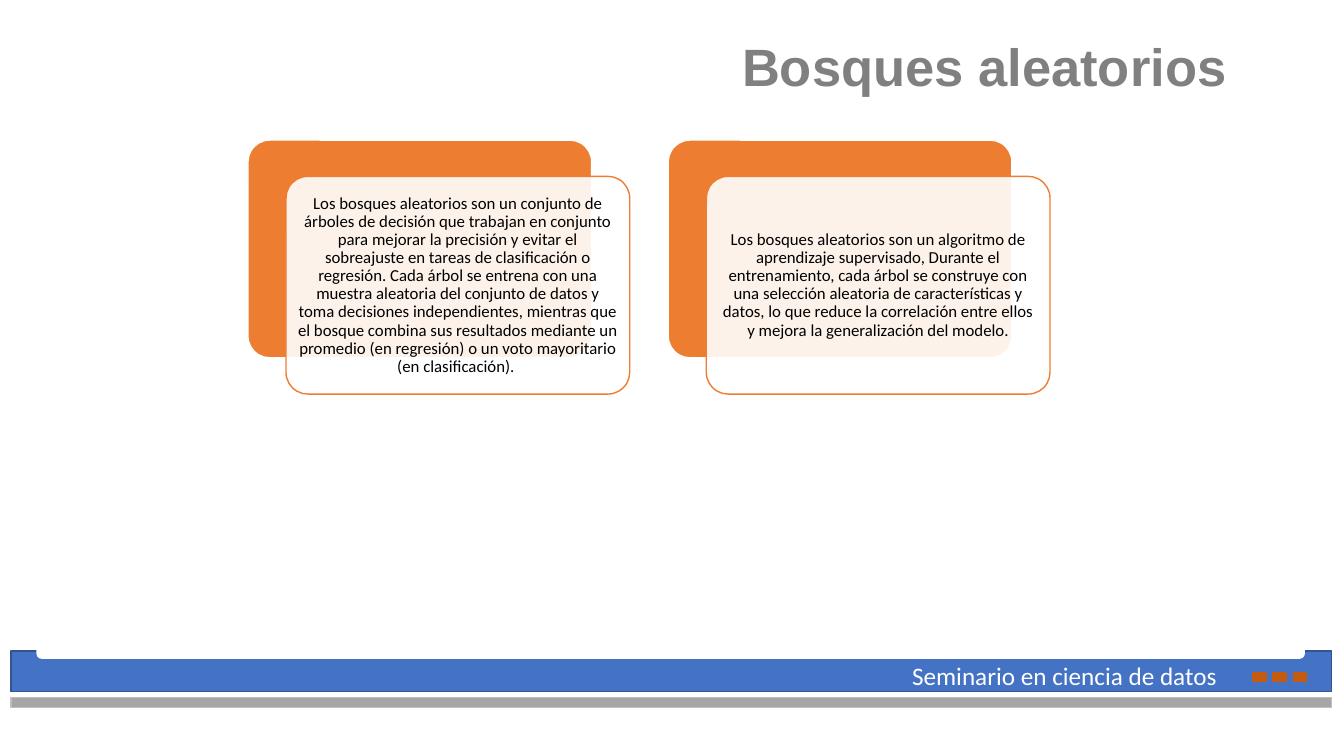
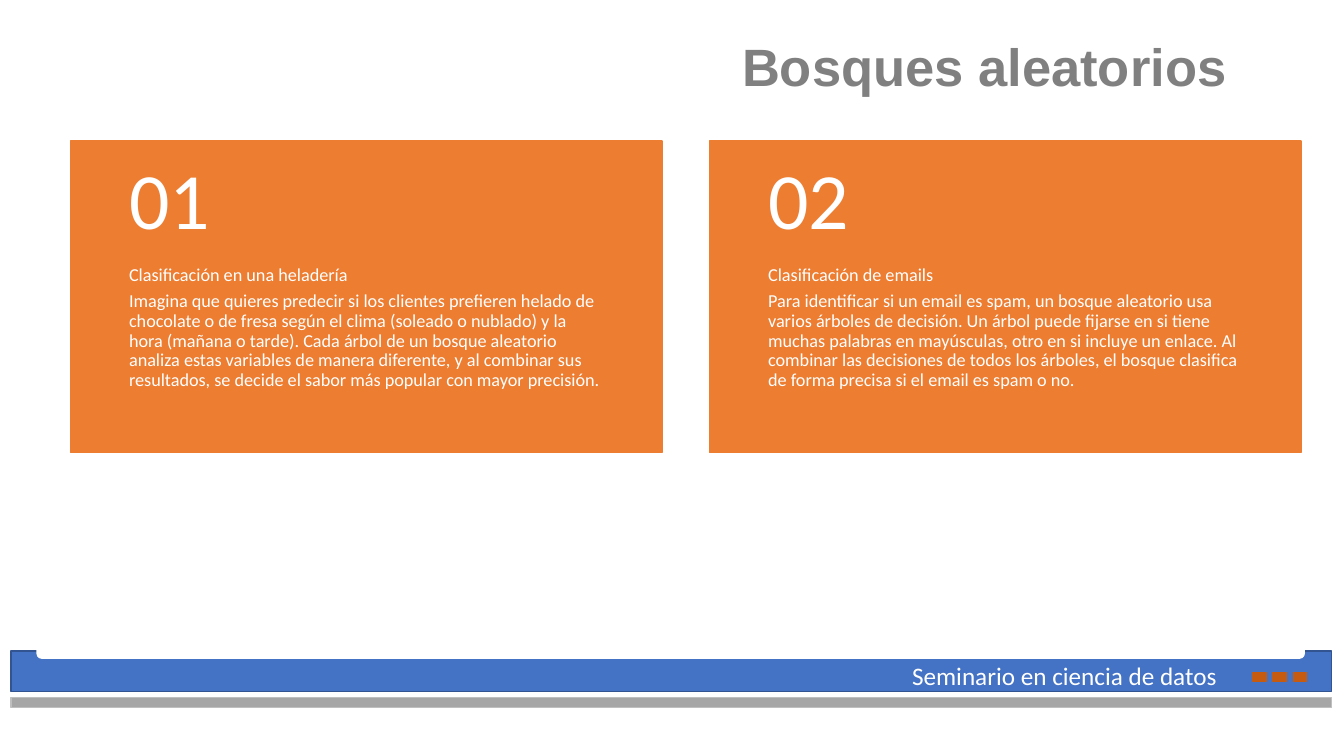
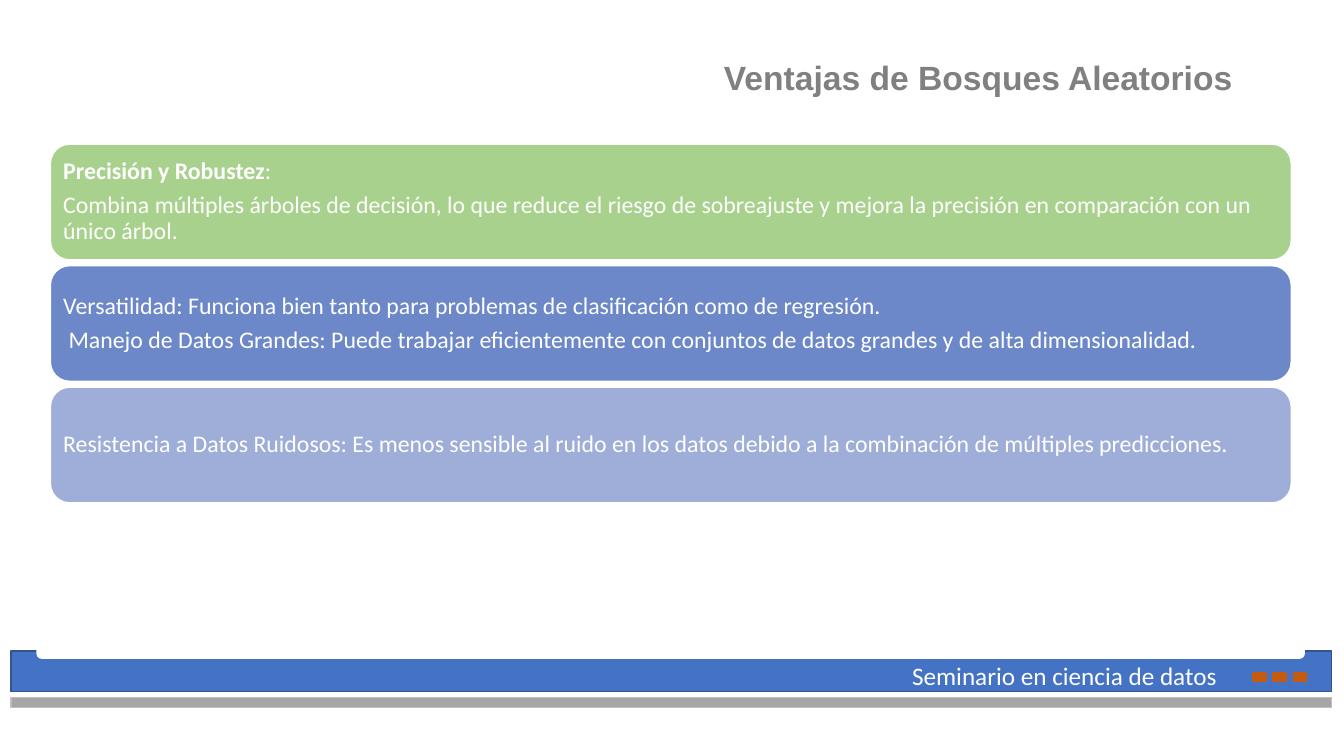
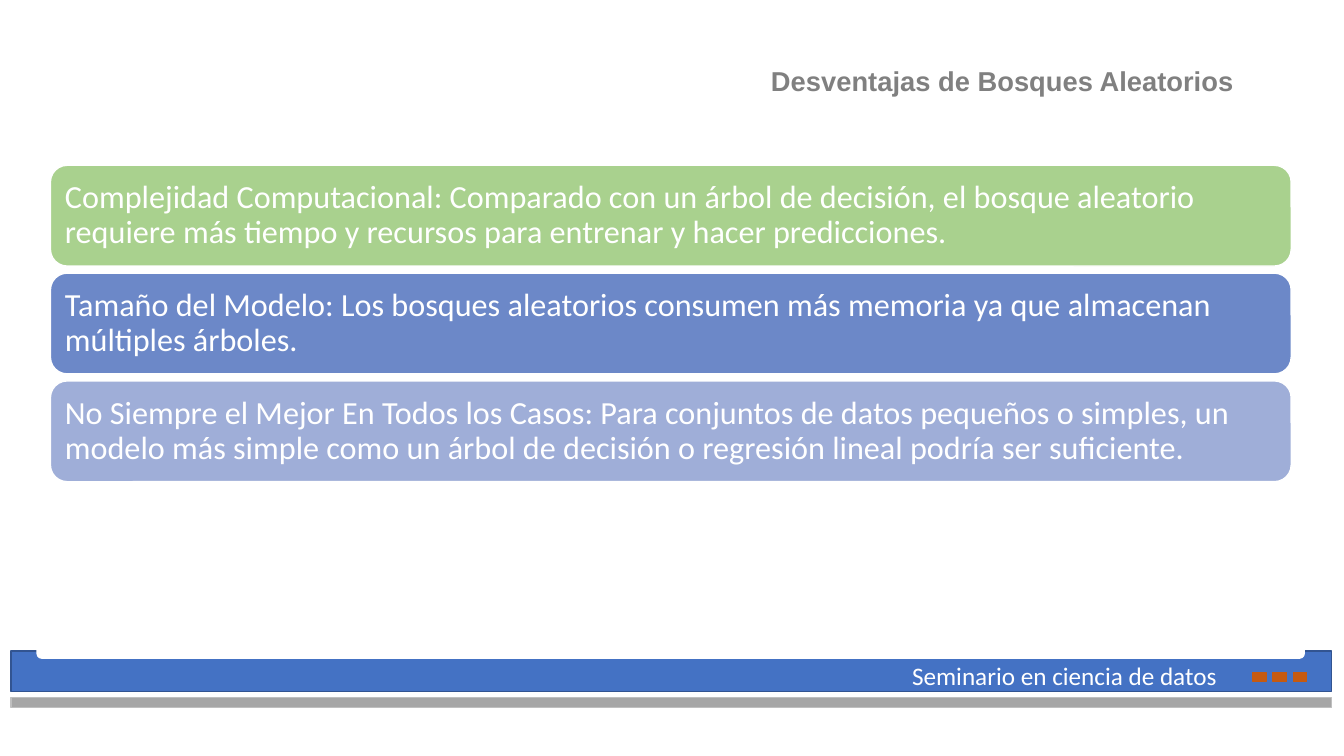
from dataclasses import dataclass

from lxml.etree import SubElement
from pptx import Presentation
from pptx.dml.color import RGBColor
from pptx.enum.shapes import MSO_SHAPE as Shape
from pptx.enum.text import MSO_ANCHOR as Anchor, MSO_AUTO_SIZE as AutoSize, PP_ALIGN as Align
from pptx.oxml.ns import qn
from pptx.util import Pt


@dataclass(frozen=True)
class Theme:
    title_font: str = "Arial"
    body_font: str = "Calibri"
    white: str = "FFFFFF"
    black: str = "000000"
    title: str = "808080"
    orange: str = "ED7D31"
    bar: str = "4472C4"
    bar_line: str = "325491"
    stripe: str = "A6A6A6"
    stripe_line: str = "BFBFBF"
    square: str = "C55A11"
    bands: tuple = ("A9D18E", "6C88C8", "9FAED8")
    title_large: float = 37.5
    title_medium: float = 24
    title_small: float = 19.5
    footer_size: float = 18
    card_size: float = 12
    panel_size: float = 13
    number_size: float = 57
    band_large: float = 23
    band_small: float = 17
    line_spacing: float = 0.9
    space_after: float = 0.35  # share of the type size
    inset: float = 0.3  # share of the type size


THEME = Theme()

FOOTER = "Seminario en ciencia de datos"
FOREST_TITLE = "Bosques aleatorios "

CARDS = [
    "Los bosques aleatorios son un conjunto de árboles de decisión que trabajan en conjunto "
    "para mejorar la precisión y evitar el sobreajuste en tareas de clasificación o regresión. "
    "Cada árbol se entrena con una muestra aleatoria del conjunto de datos y toma decisiones "
    "independientes, mientras que el bosque combina sus resultados mediante un promedio "
    "(en regresión) o un voto mayoritario (en clasificación). ",
    "Los bosques aleatorios son un algoritmo de aprendizaje supervisado, Durante el "
    "entrenamiento, cada árbol se construye con una selección aleatoria de características y "
    "datos, lo que reduce la correlación entre ellos y mejora la generalización del modelo.",
]

EXAMPLES = [
    ("01", [
        "Clasificación en una heladería",
        "Imagina que quieres predecir si los clientes prefieren helado de chocolate o de fresa "
        "según el clima (soleado o nublado) y la hora (mañana o tarde). Cada árbol de un bosque "
        "aleatorio analiza estas variables de manera diferente, y al combinar sus resultados, "
        "se decide el sabor más popular con mayor precisión.",
    ]),
    ("02", [
        "Clasificación de emails",
        "Para identificar si un email es spam, un bosque aleatorio usa varios árboles de "
        "decisión. Un árbol puede fijarse en si tiene muchas palabras en mayúsculas, otro en si "
        "incluye un enlace. Al combinar las decisiones de todos los árboles, el bosque clasifica "
        "de forma precisa si el email es spam o no.",
    ]),
]

# A paragraph is a string, or a pair: bold lead and plain rest.
ADVANTAGES = [
    [
        ("Precisión y Robustez", ":"),
        "Combina múltiples árboles de decisión, lo que reduce el riesgo de sobreajuste y mejora "
        "la precisión en comparación con un único árbol.",
    ],
    [
        "Versatilidad: Funciona bien tanto para problemas de clasificación como de regresión.",
        " Manejo de Datos Grandes: Puede trabajar eficientemente con conjuntos de datos grandes "
        "y de alta dimensionalidad.",
    ],
    [
        "Resistencia a Datos Ruidosos: Es menos sensible al ruido en los datos debido a la "
        "combinación de múltiples predicciones.",
    ],
]

DRAWBACKS = [
    ["Complejidad Computacional: Comparado con un árbol de decisión, el bosque aleatorio "
     "requiere más tiempo y recursos para entrenar y hacer predicciones."],
    ["Tamaño del Modelo: Los bosques aleatorios consumen más memoria ya que almacenan "
     "múltiples árboles."],
    ["No Siempre el Mejor En Todos los Casos: Para conjuntos de datos pequeños o simples, un "
     "modelo más simple como un árbol de decisión o regresión lineal podría ser suficiente."],
]


def rgb(color):
    return RGBColor.from_string(color)


def add_block(slide, kind, box, fill, line, corner=None, opacity=None):
    shape = slide.shapes.add_shape(kind, *map(Pt, box))
    shape.shadow.inherit = False
    shape.fill.solid()
    shape.fill.fore_color.rgb = rgb(fill)
    shape.line.color.rgb = rgb(line)
    shape.line.width = Pt(1)
    if corner is not None:
        shape.adjustments[0] = corner
    if opacity is not None:
        color = shape.element.spPr.find(qn("a:solidFill")).find(qn("a:srgbClr"))
        SubElement(color, qn("a:alpha")).set("val", str(int(opacity * 100000)))
    return shape


def set_frame(shape, insets, anchor):
    """Set the insets (left, top, right, bottom) and the anchor of a shape's text."""
    frame = shape.text_frame
    frame.word_wrap = True
    frame.auto_size = AutoSize.NONE
    frame.vertical_anchor = anchor
    frame.margin_left, frame.margin_top, frame.margin_right, frame.margin_bottom = map(Pt, insets)
    return frame


def write(frame, paragraphs, size, color, align=Align.LEFT, font=THEME.body_font, bold=False,
          spacing=THEME.line_spacing, space_after=THEME.space_after):
    for index, content in enumerate(paragraphs):
        paragraph = frame.add_paragraph() if index else frame.paragraphs[0]
        paragraph.alignment = align
        paragraph.line_spacing = spacing
        paragraph.space_before = Pt(0)
        paragraph.space_after = Pt(round(space_after * size, 2))
        runs = [(content, bold)] if isinstance(content, str) else zip(content, (True, False))
        for text, is_bold in runs:
            run = paragraph.add_run()
            run.text = text
            run.font.name = font
            run.font.size = Pt(size)
            run.font.bold = is_bold
            run.font.color.rgb = rgb(color)


def add_footer(slide):
    add_block(slide, Shape.RECTANGLE, (7.9, 465.1, 943.2, 28.8), THEME.bar, THEME.bar_line)
    add_block(slide, Shape.ROUNDED_RECTANGLE, (26.6, 451.4, 905, 18.7), THEME.white, THEME.white)
    add_block(slide, Shape.RECTANGLE, (7.9, 498.2, 943.2, 7.2), THEME.stripe, THEME.stripe_line)
    for index in range(3):
        add_block(slide, Shape.RECTANGLE, (895 + 14.4 * index, 480.2, 9.4, 6.5),
                  THEME.square, THEME.square)
    label = slide.shapes.add_textbox(Pt(644.4), Pt(468), Pt(248.4), Pt(28.8))
    write(set_frame(label, (7.2, 3.6, 7.2, 3.6), Anchor.TOP), [FOOTER],
          THEME.footer_size, THEME.white, spacing=1, space_after=0)


def new_slide(presentation, title, size):
    slide = presentation.slides.add_slide(presentation.slide_layouts.get_by_name("Title Only"))
    holder = slide.shapes.title
    holder.left, holder.top, holder.width, holder.height = map(Pt, (469.4, 28.8, 424.8, 43.2))
    write(set_frame(holder, (7.2, 3.6, 7.2, 3.6), Anchor.BOTTOM), [title], size, THEME.title,
          Align.RIGHT, THEME.title_font, bold=True, spacing=0.7, space_after=0)
    add_footer(slide)
    return slide


def add_cards(slide):
    left, top, width, height, pitch = 177.1, 100.1, 245.5, 155.5, 300.2
    shift_x, shift_y = 27.2, 25.9
    inset = THEME.inset * THEME.card_size
    for index, text in enumerate(CARDS):
        x = left + index * pitch
        add_block(slide, Shape.ROUNDED_RECTANGLE, (x, top, width, height),
                  THEME.orange, THEME.white, corner=0.1)
        card = add_block(slide, Shape.ROUNDED_RECTANGLE,
                         (x + shift_x, top + shift_y, width, height),
                         THEME.white, THEME.orange, corner=0.1, opacity=0.9)
        write(set_frame(card, (inset,) * 4, Anchor.MIDDLE), [text],
              THEME.card_size, THEME.black, Align.CENTER)


def add_panels(slide):
    left, top, width, height, pitch = 50.4, 100.8, 422.6, 222.5, 456.5
    number_height, side = 89.2, 41.8
    for index, (number, paragraphs) in enumerate(EXAMPLES):
        x = left + index * pitch
        panel = add_block(slide, Shape.RECTANGLE, (x, top, width, height),
                          THEME.orange, THEME.orange)
        write(set_frame(panel, (side, number_height, side, 26), Anchor.TOP), paragraphs,
              THEME.panel_size, THEME.white)
        heading = slide.shapes.add_textbox(Pt(x), Pt(top), Pt(width), Pt(number_height))
        write(set_frame(heading, (side, 13, side, 13), Anchor.MIDDLE), [number],
              THEME.number_size, THEME.white)


def add_bands(slide, items, top, height, gap, size):
    inset = THEME.inset * size
    for index, (paragraphs, color) in enumerate(zip(items, THEME.bands)):
        band = add_block(slide, Shape.ROUNDED_RECTANGLE,
                         (36, top + index * (height + gap), 886.3, height), color, THEME.white)
        write(set_frame(band, (inset,) * 4, Anchor.MIDDLE), paragraphs, size, THEME.white)


def main():
    presentation = Presentation()
    presentation.slide_width, presentation.slide_height = Pt(960), Pt(540)

    add_cards(new_slide(presentation, FOREST_TITLE, THEME.title_large))
    add_panels(new_slide(presentation, FOREST_TITLE, THEME.title_large))
    advantages = new_slide(presentation, "Ventajas de Bosques Aleatorios ", THEME.title_medium)
    add_bands(advantages, ADVANTAGES, 103, 82.6, 4.2, THEME.band_small)
    drawbacks = new_slide(presentation, "Desventajas de Bosques Aleatorios ", THEME.title_small)
    add_bands(drawbacks, DRAWBACKS, 118.1, 72, 5, THEME.band_large)

    presentation.save("out.pptx")


if __name__ == "__main__":
    main()
